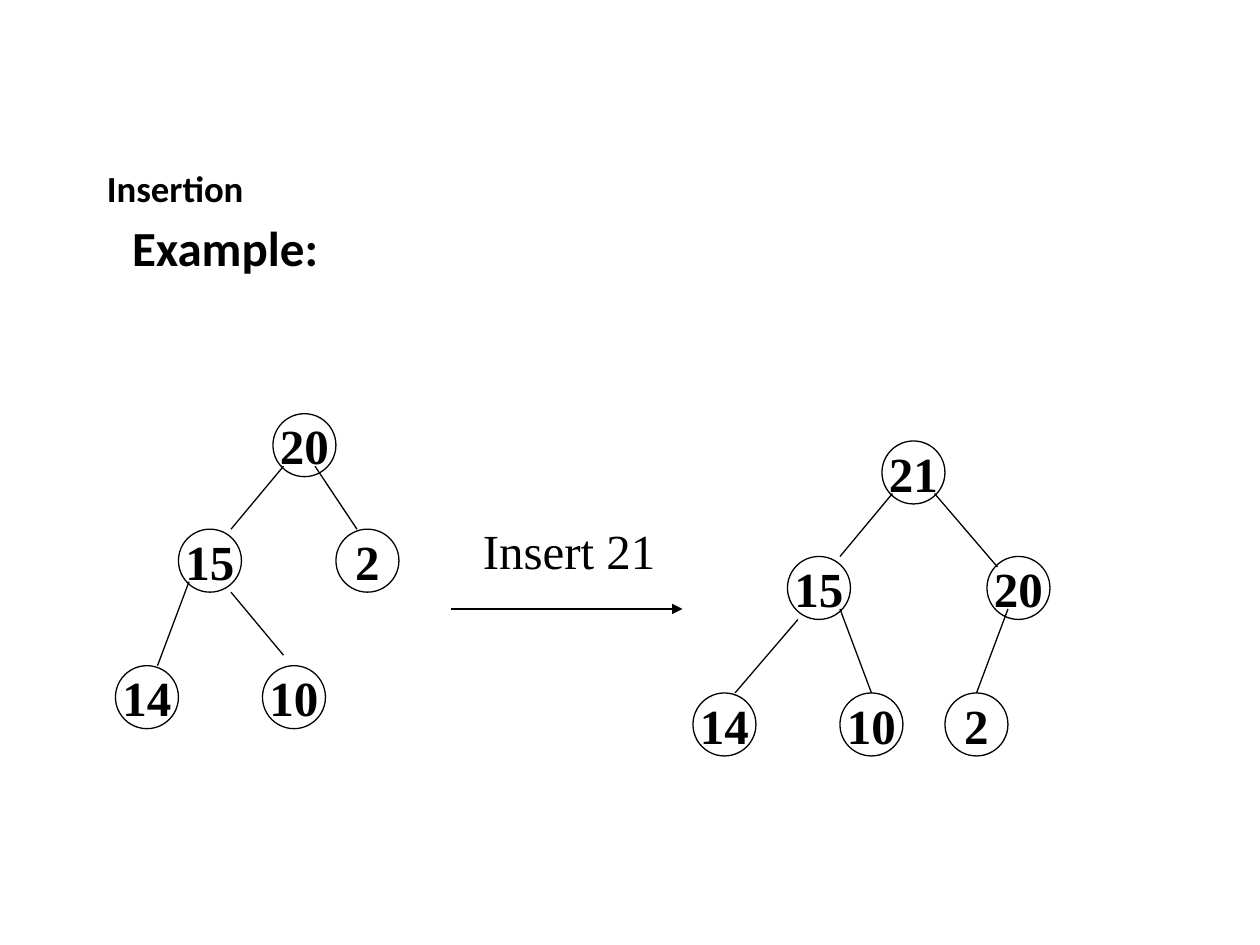
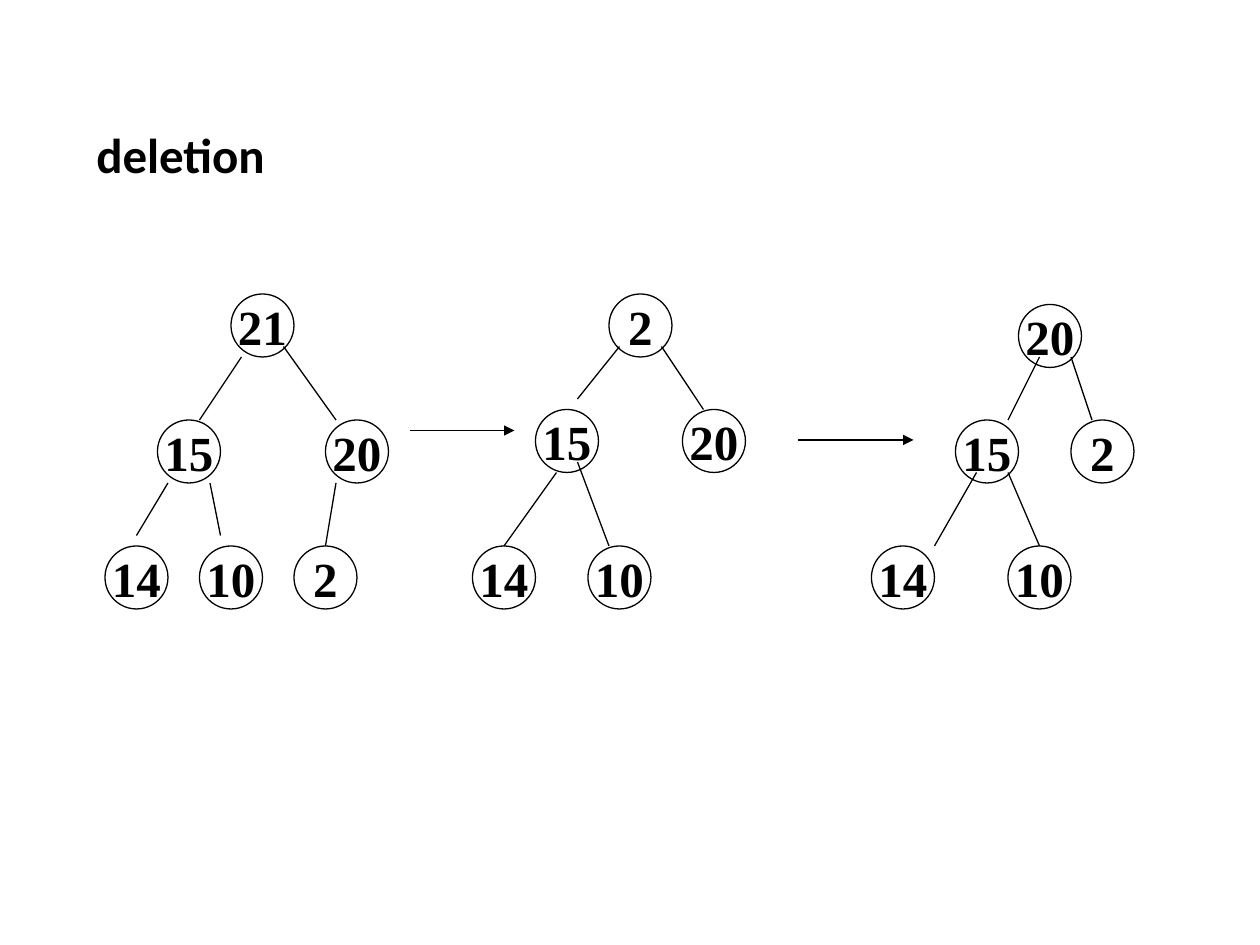
from typing import NamedTuple

from lxml.etree import SubElement
from pptx import Presentation
from pptx.dml.color import RGBColor
from pptx.enum.shapes import MSO_CONNECTOR, MSO_SHAPE
from pptx.enum.text import MSO_ANCHOR, PP_ALIGN
from pptx.oxml.ns import qn
from pptx.util import Emu, Pt

PX = 7620  # EMU per px, 120 px to the inch
NODE = 60  # node diameter
COLORS = {"ink": "000000"}
HEAD_FONT, BODY_FONT = "Calibri", "Times New Roman"


class Node(NamedTuple):
    label: str
    x: int
    y: int  # below the top of the tree


class Edge(NamedTuple):
    x1: int
    y1: int  # below the top of the tree
    x2: int
    y2: int


class Tree(NamedTuple):
    top: int
    nodes: list[Node]
    edges: list[Edge]


class Arrow(NamedTuple):
    x1: int
    x2: int
    y: int


class Heading(NamedTuple):
    text: str
    size: int
    indent: int = 0


def px(n: int) -> Emu:
    return Emu(n * PX)


def ink() -> RGBColor:
    return RGBColor.from_string(COLORS["ink"])


def style_text(p, name: str, size: int, bold: bool) -> None:
    p.font.name, p.font.size, p.font.bold = name, Pt(size), bold
    p.font.color.rgb = ink()


def indent_text(p, indent: int) -> None:
    p._p.get_or_add_pPr().set("marL", str(px(indent)))


def add_text_box(slide, x: int, y: int, w: int, h: int):
    tf = slide.shapes.add_textbox(px(x), px(y), px(w), px(h)).text_frame
    tf.word_wrap = True
    return tf


def add_headings(slide, x: int, y: int, headings: list[Heading]) -> None:
    tf = add_text_box(slide, x, y, 1020, 540)
    for i, heading in enumerate(headings):
        p = tf.add_paragraph() if i else tf.paragraphs[0]
        p.text = heading.text
        p.line_spacing = 0.9
        if i:
            p.space_before = Pt(7.5)
        indent_text(p, heading.indent)
        style_text(p, HEAD_FONT, heading.size, True)


def add_line(shapes, x1: int, y1: int, x2: int, y2: int):
    line = shapes.add_connector(MSO_CONNECTOR.STRAIGHT, px(x1), px(y1), px(x2), px(y2))
    line.line.color.rgb = ink()
    line.line.width = Pt(0.75)
    SubElement(line._element.spPr, qn("a:effectLst"))
    return line


def add_arrow(slide, arrow: Arrow) -> None:
    line = add_line(slide.shapes, arrow.x1, arrow.y, arrow.x2, arrow.y)
    SubElement(line.line._get_or_add_ln(), qn("a:tailEnd"), type="triangle")


def add_node(shapes, node: Node, top: int) -> None:
    sp = shapes.add_shape(MSO_SHAPE.OVAL, px(node.x), px(top + node.y), px(NODE), px(NODE))
    sp.shadow.inherit = False
    sp.fill.background()
    sp.line.color.rgb = ink()
    sp.line.width = Pt(0.75)
    tf = sp.text_frame
    tf.word_wrap = False
    tf.vertical_anchor = MSO_ANCHOR.MIDDLE
    p = tf.paragraphs[0]
    p.text = node.label
    p.alignment = PP_ALIGN.CENTER
    style_text(p, BODY_FONT, 28, True)


def add_tree(slide, tree: Tree) -> None:
    shapes = slide.shapes.add_group_shape().shapes
    for node in tree.nodes:
        add_node(shapes, node, tree.top)
    for e in tree.edges:
        add_line(shapes, e.x1, tree.top + e.y1, e.x2, tree.top + e.y2)


# Insertion: heap before and after adding 21
INSERTION = [
    Tree(394,
         [Node("20", 260, 0), Node("15", 170, 110), Node("2", 320, 110),
          Node("14", 110, 240), Node("10", 250, 240)],
         [Edge(270, 50, 220, 110), Edge(300, 50, 340, 110),
          Edge(180, 160, 150, 240), Edge(220, 170, 270, 230)]),
    Tree(420,
         [Node("21", 840, 0), Node("15", 750, 110), Node("20", 940, 110),
          Node("14", 660, 240), Node("10", 800, 240), Node("2", 900, 240)],
         [Edge(850, 50, 800, 110), Edge(890, 50, 950, 120), Edge(760, 170, 700, 240),
          Edge(800, 160, 830, 240), Edge(960, 160, 930, 240)]),
]

# Deletion: full heap, last node moved to the root, heap restored
DELETION = [
    Tree(280,
         [Node("21", 220, 0), Node("15", 150, 120), Node("20", 310, 120),
          Node("14", 100, 240), Node("10", 190, 240), Node("2", 280, 240)],
         [Edge(230, 60, 190, 120), Edge(270, 50, 320, 120), Edge(160, 180, 130, 230),
          Edge(200, 180, 210, 230), Edge(320, 180, 310, 240)]),
    Tree(280,
         [Node("2", 580, 0), Node("15", 510, 110), Node("20", 650, 110),
          Node("14", 450, 240), Node("10", 560, 240)],
         [Edge(590, 50, 550, 100), Edge(630, 50, 670, 110),
          Edge(530, 170, 480, 240), Edge(550, 160, 580, 240)]),
    Tree(290,
         [Node("20", 970, 0), Node("15", 910, 110), Node("2", 1020, 110),
          Node("14", 830, 230), Node("10", 960, 230)],
         [Edge(990, 50, 960, 110), Edge(1020, 50, 1040, 110),
          Edge(930, 160, 890, 230), Edge(960, 160, 990, 230)]),
]


def add_heap_slide(prs, trees: list[Tree], arrows: list[Arrow]):
    slide = prs.slides.add_slide(prs.slide_layouts[6])
    for tree in trees:
        add_tree(slide, tree)
    for arrow in arrows:
        add_arrow(slide, arrow)
    return slide


def main() -> None:
    prs = Presentation()
    prs.slide_width, prs.slide_height = px(1200), px(900)

    # Insertion slide
    slide = add_heap_slide(prs, INSERTION, [Arrow(430, 650, 580)])
    add_headings(slide, 90, 157, [Heading("Insertion", 21), Heading("Example:", 28, 24)])
    p = add_text_box(slide, 390, 490, 260, 68).paragraphs[0]
    p.text = "Insert 21"
    indent_text(p, 58)
    style_text(p, BODY_FONT, 28, False)

    # Deletion slide
    slide = add_heap_slide(prs, DELETION, [Arrow(390, 490, 410), Arrow(760, 870, 419)])
    add_headings(slide, 80, 119, [Heading("deletion", 28)])

    prs.save("out.pptx")


if __name__ == "__main__":
    main()
